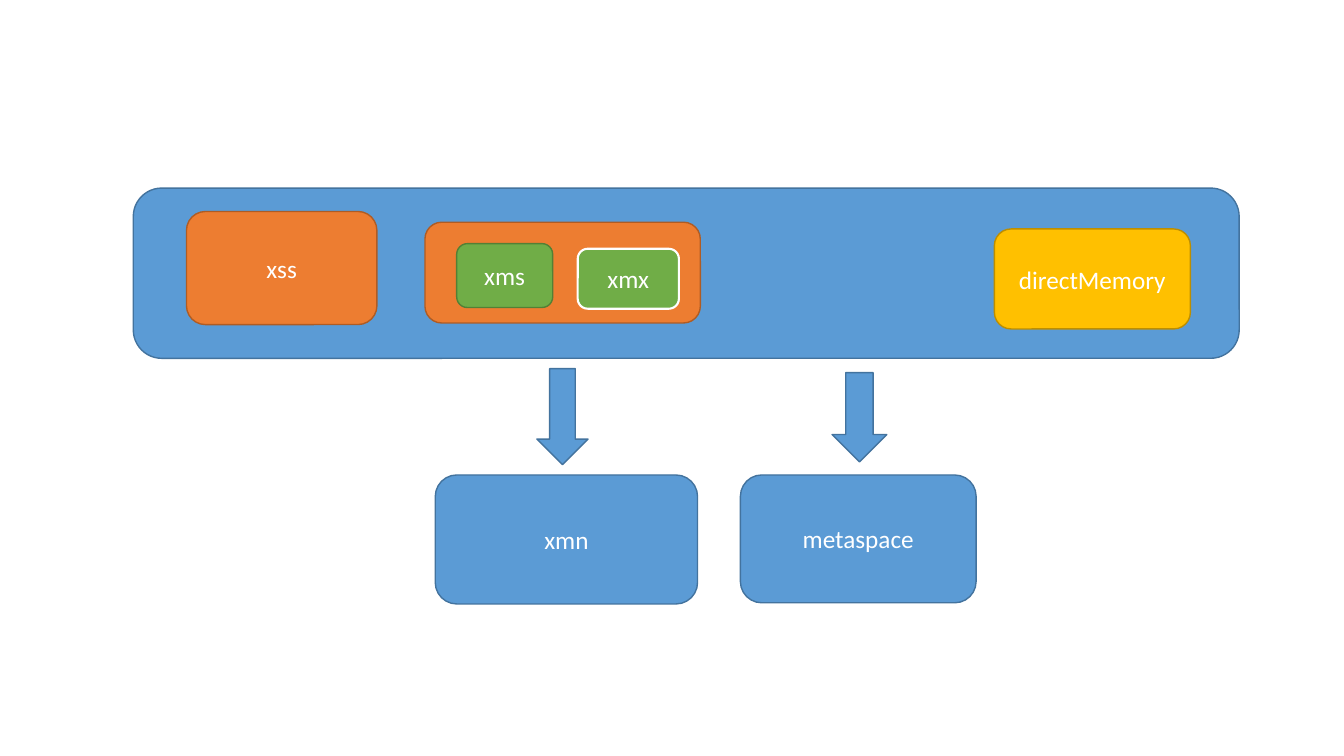
from pptx import Presentation
from pptx.dml.color import RGBColor
from pptx.enum.shapes import MSO_SHAPE
from pptx.enum.text import MSO_ANCHOR, PP_ALIGN
from pptx.util import Cm, Pt

FONT, FONT_SIZE, WHITE = "Calibri", 18, "FFFFFF"

# style: fill, line colour, line width in points
STYLES = {
    "blue": ("5B9BD5", "43739E", 1),
    "orange": ("ED7D31", "AF5C24", 1),
    "gold": ("FFC000", "BD8E00", 1),
    "green": ("70AD47", "538035", 1),
    "green outlined": ("70AD47", WHITE, 1.5),
}

# label, style, (left, top, width, height) in cm, from back to front
MEMORY_BOXES = [
    ("", "blue", (3.36, 4.74, 27.87, 4.29)),
    ("xss", "orange", (4.7, 5.33, 4.8, 2.85)),
    ("", "orange", (10.71, 5.6, 6.94, 2.54)),
    ("directMemory", "gold", (25.06, 5.77, 4.94, 2.52)),
    ("xms", "green", (11.51, 6.14, 2.42, 1.61)),
    ("xmx", "green outlined", (14.56, 6.27, 2.55, 1.51)),
    ("xmn", "blue", (10.97, 11.97, 6.61, 3.25)),
    ("metaspace", "blue", (18.66, 11.97, 5.94, 3.22)),
]
DOWN_ARROWS = [
    (13.53, 9.29, 1.29, 2.42),
    (20.97, 9.39, 1.38, 2.25),
]


def rgb(hex_colour):
    """Turn a hex string into a colour."""
    return RGBColor.from_string(hex_colour)


def add_styled_shape(slide, kind, style, place):
    """Add a preset shape with the fill and line of a named style."""
    fill, line, width = STYLES[style]
    shape = slide.shapes.add_shape(kind, *(Cm(length) for length in place))
    shape.shadow.inherit = False
    shape.fill.solid()
    shape.fill.fore_color.rgb = rgb(fill)
    shape.line.color.rgb = rgb(line)
    shape.line.width = Pt(width)
    return shape


def add_label(shape, label):
    """Write a centred white label in a shape."""
    frame = shape.text_frame
    frame.word_wrap = True
    frame.vertical_anchor = MSO_ANCHOR.MIDDLE
    paragraph = frame.paragraphs[0]
    paragraph.alignment = PP_ALIGN.CENTER
    run = paragraph.add_run()
    run.text = label
    run.font.name = FONT
    run.font.size = Pt(FONT_SIZE)
    run.font.color.rgb = rgb(WHITE)


presentation = Presentation()
presentation.slide_width, presentation.slide_height = Cm(33.87), Cm(19.05)
slide = presentation.slides.add_slide(presentation.slide_layouts[6])

for label, style, place in MEMORY_BOXES:
    box = add_styled_shape(slide, MSO_SHAPE.ROUNDED_RECTANGLE, style, place)
    if label:
        add_label(box, label)

for place in DOWN_ARROWS:
    add_styled_shape(slide, MSO_SHAPE.DOWN_ARROW, "blue", place)

presentation.save("out.pptx")
